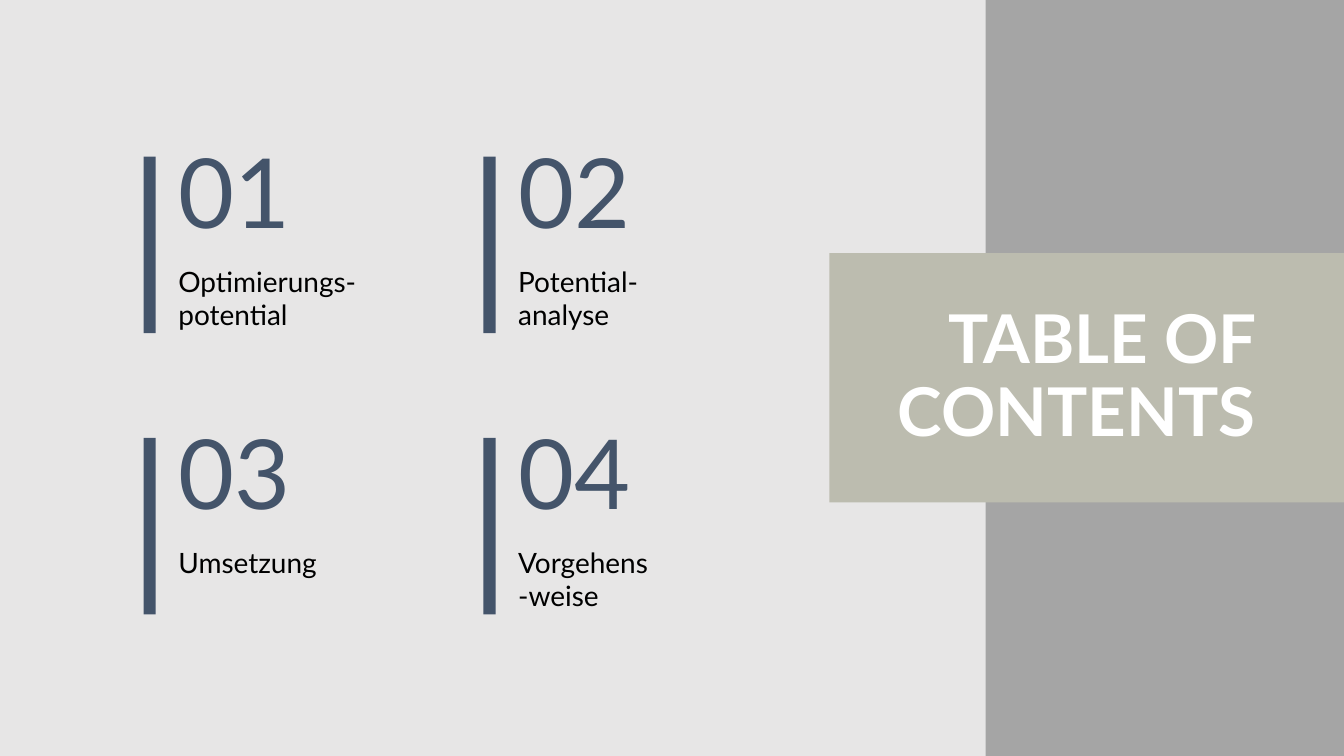
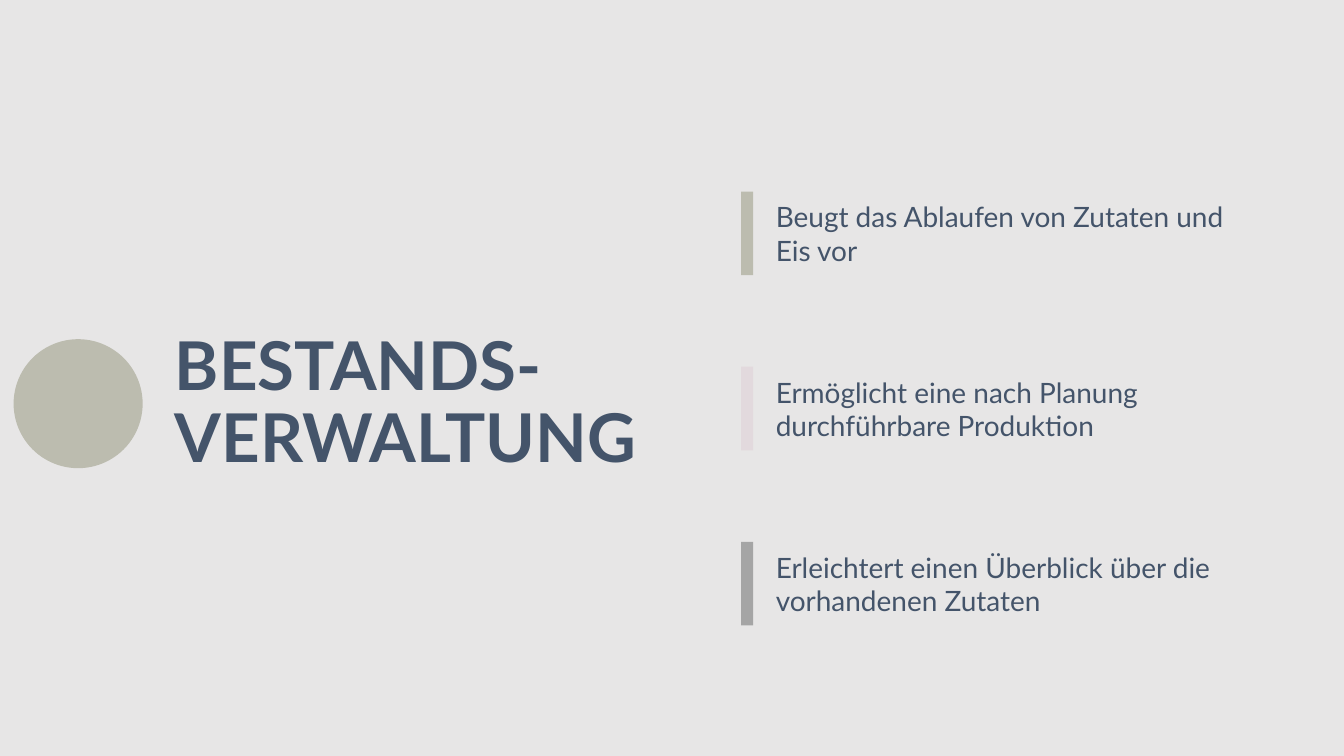
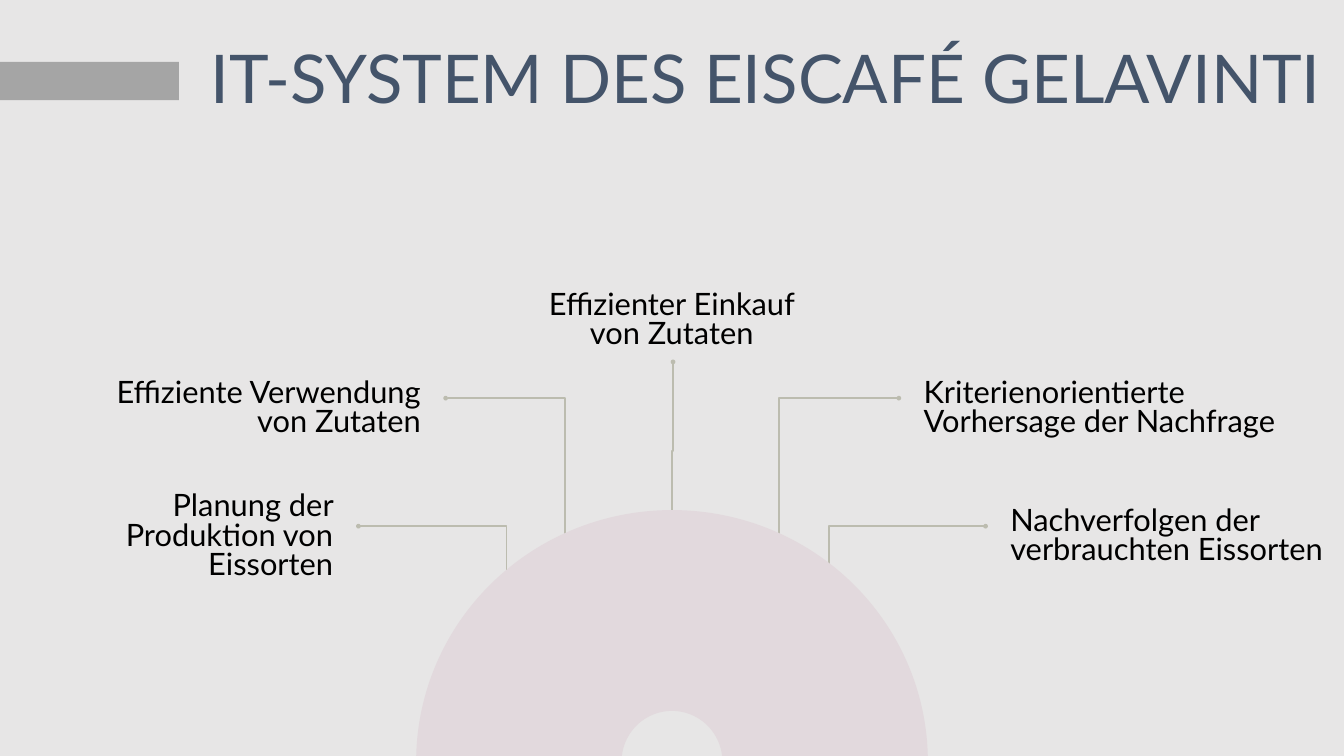
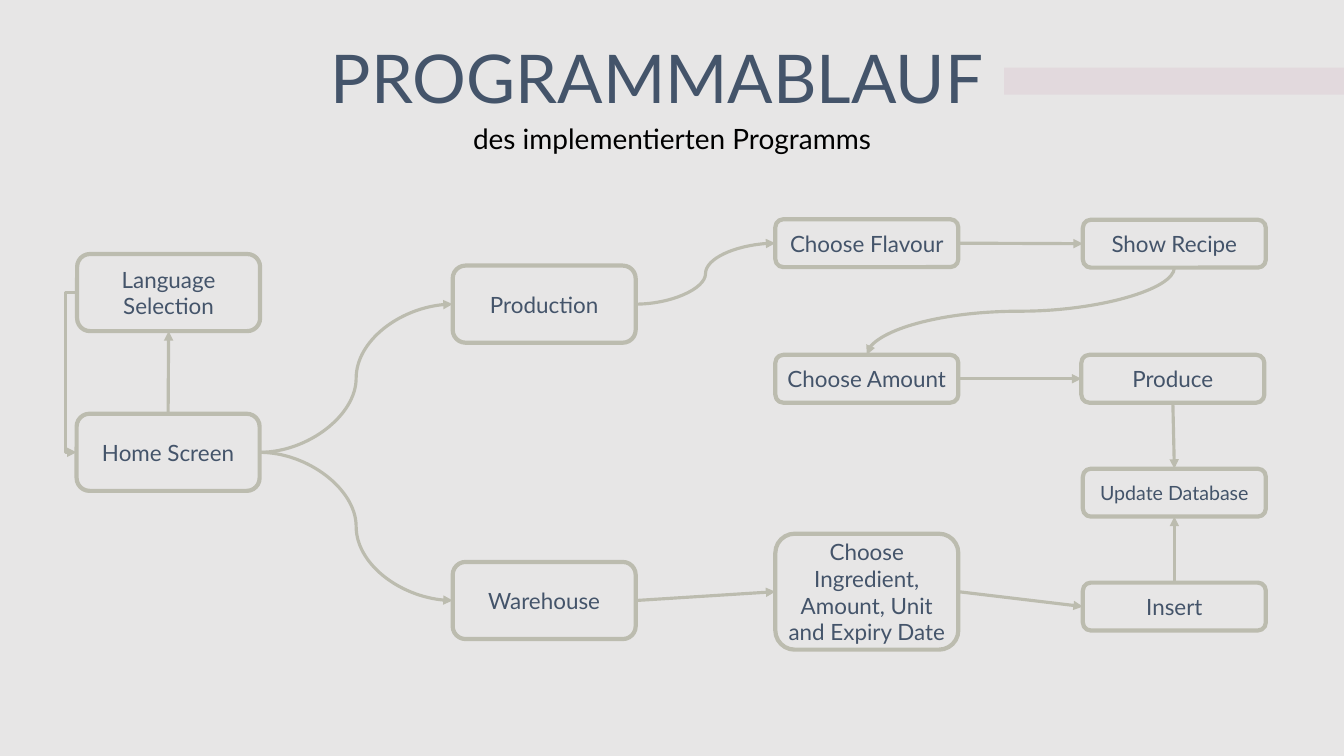
"""Builds four slides on the stock and production program of an ice cream café."""
from dataclasses import dataclass

from lxml.etree import SubElement
from pptx import Presentation
from pptx.dml.color import RGBColor as RGB
from pptx.enum.shapes import MSO_CONNECTOR as LINK, MSO_SHAPE as SHAPE
from pptx.enum.text import MSO_ANCHOR as ANCHOR, MSO_AUTO_SIZE as AUTO, PP_ALIGN as ALIGN
from pptx.oxml.ns import qn
from pptx.util import Inches, Pt


@dataclass(frozen=True)
class Theme:
    """Colours, font and type sizes shared by all slides."""
    font: str = "Lato"
    paper: str = "E7E6E6"
    navy: str = "44546A"
    sage: str = "BCBCAF"
    rose: str = "E2D9DD"
    grey: str = "A5A5A5"
    black: str = "000000"
    white: str = "FFFFFF"
    number: int = 138
    title: int = 96
    spoke: int = 44
    body: int = 40
    step: int = 32
    small_step: int = 28


THEME = Theme()
WIDTH, HEIGHT = 26.66, 15
BAR = 0.24
BAR_GAP = 0.59
TITLE_TOP, TITLE_HEIGHT = 0.84, 1.56

CHAPTERS = [
    [("01", ["Optimierungs-", "potential"], 5.9), ("02", ["Potential-", "analyse"], 3.64)],
    [("03", ["Umsetzung"], 3.09), ("04", ["Vorgehens-weise"], 2.9)],
]
BENEFITS = [
    ("Beugt das Ablaufen von Zutaten und Eis vor", THEME.sage),
    ("Ermöglicht eine nach Planung durchführbare Produktion", THEME.rose),
    ("Erleichtert einen Überblick über die vorhandenen Zutaten", THEME.grey),
]
# label, (left, top, width), alignment, spoke start, spoke end
FUNCTIONS = [
    ("Planung der Produktion von Eissorten", (0.06, 9.73, 6.82), ALIGN.RIGHT,
     (7.11, 10.44), (10.05, 11.6)),
    ("Effiziente Verwendung von Zutaten", (1.8, 7.19, 6.82), ALIGN.RIGHT,
     (8.84, 7.9), (11.21, 10.71)),
    ("Effizienter Einkauf von Zutaten", (10.29, 5.44, 6.07), ALIGN.CENTER,
     (13.35, 7.18), (13.33, 10.71)),
    ("Kriterienorientierte Vorhersage der Nachfrage", (18.05, 7.19, 7.74), ALIGN.LEFT,
     (17.83, 7.9), (15.45, 10.96)),
    ("Nachverfolgen der verbrauchten Eissorten", (19.77, 9.73, 6.89), ALIGN.LEFT,
     (19.55, 10.44), (16.44, 12.92)),
]
STEP_WIDTH, TALL, FLAT = 3.63, 1.53, 0.95
# step: left, top, height
STEPS = {
    "Home Screen": (1.52, 8.21, TALL),
    "Language Selection": (1.53, 5.04, TALL),
    "Production": (8.98, 5.27, TALL),
    "Warehouse": (8.98, 11.15, TALL),
    "Choose Flavour": (15.38, 4.35, FLAT),
    "Choose Amount": (15.38, 7.04, FLAT),
    "Choose Ingredient, Amount, Unit and Expiry Date": (15.38, 10.59, 2.3),
    "Show Recipe": (21.48, 4.36, FLAT),
    "Produce": (21.45, 7.04, FLAT),
    "Update Database": (21.48, 9.3, FLAT),
    "Insert": (21.48, 11.56, FLAT),
}
INGREDIENT = "Choose Ingredient, Amount, Unit and Expiry Date"
TOP, LEFT, BOTTOM, RIGHT = range(4)
# from, side, to, side, kind, bend
FLOWS = [
    ("Home Screen", TOP, "Language Selection", BOTTOM, LINK.STRAIGHT, None),
    ("Language Selection", LEFT, "Home Screen", LEFT, LINK.ELBOW, 24),
    ("Home Screen", RIGHT, "Production", LEFT, LINK.CURVE, 0.5),
    ("Home Screen", RIGHT, "Warehouse", LEFT, LINK.CURVE, 0.5),
    ("Production", RIGHT, "Choose Flavour", LEFT, LINK.CURVE, 0.5),
    ("Choose Flavour", RIGHT, "Show Recipe", LEFT, LINK.STRAIGHT, None),
    ("Show Recipe", BOTTOM, "Choose Amount", TOP, LINK.CURVE, 0.5),
    ("Choose Amount", RIGHT, "Produce", LEFT, LINK.STRAIGHT, None),
    ("Produce", BOTTOM, "Update Database", TOP, LINK.STRAIGHT, None),
    ("Warehouse", RIGHT, INGREDIENT, LEFT, LINK.STRAIGHT, None),
    (INGREDIENT, RIGHT, "Insert", LEFT, LINK.STRAIGHT, None),
    ("Insert", TOP, "Update Database", BOTTOM, LINK.STRAIGHT, None),
]


def inches(*lengths):
    return [Inches(length) for length in lengths]


def write(frame, lines, size, color, align=ALIGN.LEFT, anchor=ANCHOR.TOP,
          spacing=None, bold=False, fit=AUTO.SHAPE_TO_FIT_TEXT):
    frame.word_wrap = True
    frame.auto_size = fit
    frame.vertical_anchor = anchor
    for index, line in enumerate(lines):
        paragraph = frame.add_paragraph() if index else frame.paragraphs[0]
        paragraph.alignment = align
        paragraph.line_spacing = spacing
        run = paragraph.add_run()
        run.text = line
        run.font.name, run.font.size, run.font.bold = THEME.font, Pt(size), bold
        run.font.color.rgb = RGB.from_string(color)


def add_text(slide, box, lines, size, color, **style):
    frame = slide.shapes.add_textbox(*inches(*box)).text_frame
    write(frame, lines, size, color, **style)
    return frame


def add_block(shapes, box, color, kind=SHAPE.RECTANGLE):
    block = shapes.add_shape(kind, *inches(*box))
    block.shadow.inherit = False
    block.fill.solid()
    block.fill.fore_color.rgb = RGB.from_string(color)
    block.line.fill.background()


def set_title(slide, box, text, color=THEME.navy, align=ALIGN.CENTER,
              anchor=ANCHOR.BOTTOM, bold=False):
    title = slide.shapes.title
    title.left, title.top, title.width, title.height = inches(*box)
    write(title.text_frame, [text], THEME.title, color, align, anchor, 0.9, bold)
    slide.shapes.element.append(title.element)


def turn_down(link):
    """Makes a link that runs down to the left leave and arrive vertically."""
    drop, reach = link.height, link.width
    middle, center = link.left + reach // 2, link.top + drop // 2
    link.left, link.top = middle - drop // 2, center - reach // 2
    link.width, link.height = drop, reach
    link.element.flipH = False
    link.rotation = 90


def style_link(link, weight, end, tip, bend=None):
    link.line.width = Pt(weight)
    link.line.color.rgb = RGB.from_string(THEME.sage)
    properties = link.element.spPr
    SubElement(properties.find(qn("a:ln")), qn(end), type=tip)
    SubElement(properties, qn("a:effectLst"))
    if bend is not None:
        guides = properties.find(qn("a:prstGeom")).find(qn("a:avLst"))
        SubElement(guides, qn("a:gd"), name="adj1", fmla=f"val {round(bend * 100000)}")


def build_contents(slide):
    add_block(slide.shapes, (19.55, 0, WIDTH - 19.55, HEIGHT), THEME.grey)
    add_block(slide.shapes, (16.45, 5.02, WIDTH - 16.45, 4.95), THEME.sage)
    for row, chapters in enumerate(CHAPTERS):
        for column, (number, label, width) in enumerate(chapters):
            left, top = 2.85 + column * 6.74, 3.11 + row * 5.58
            add_block(slide.shapes, (left, top, BAR, 3.5), THEME.navy)
            add_text(slide, (left + BAR_GAP, top - 0.3, 2.9, 2.19), [number], THEME.number,
                     THEME.navy, anchor=ANCHOR.BOTTOM, spacing=0.9)
            add_text(slide, (left + BAR_GAP, top + 2.08, width, 1.45), label,
                     THEME.body, THEME.black)
    set_title(slide, (16.84, 6, 8.16, 3.01), "TABLE OF CONTENTS", THEME.white,
              ALIGN.RIGHT, ANCHOR.MIDDLE, bold=True)


def build_benefits(slide):
    for row, (benefit, color) in enumerate(BENEFITS):
        left, top = 14.7, 3.8 + row * 3.475
        add_block(slide.shapes, (left, top, BAR, 1.66), color)
        add_text(slide, (left + BAR_GAP, top + 0.1, 9.6, 1.45), [benefit], THEME.body,
                 THEME.navy, anchor=ANCHOR.BOTTOM)
    set_title(slide, (3.37, 6.51, 10.8, 3.01), "BESTANDS-VERWALTUNG",
              align=ALIGN.LEFT, bold=True)
    add_block(slide.shapes, (0.27, 6.73, 2.56, 2.56), THEME.sage, SHAPE.OVAL)


def build_functions(slide):
    add_block(slide.shapes, (0, 1.23, 3.55, 0.76), THEME.grey)
    set_title(slide, (3.55, TITLE_TOP, 23.29, TITLE_HEIGHT), "IT-SYSTEM DES EISCAFÉ GELAVINTI")
    for label, place, align, start, end in FUNCTIONS:
        central = align == ALIGN.CENTER
        spoke = slide.shapes.add_connector(LINK.ELBOW, *inches(*start, *end))
        if central:
            turn_down(spoke)
        style_link(spoke, 2.25, "a:headEnd", "oval", 0.5 if central else 1)
        frame = add_text(slide, (*place, 1.87), [label], THEME.spoke, THEME.black, align=align,
                         anchor=ANCHOR.MIDDLE, spacing=Pt(42), fit=AUTO.NONE)
        frame.margin_left = frame.margin_right = Inches(0.27)
        frame.margin_top = frame.margin_bottom = Inches(0.27)
        frame.paragraphs[0].space_after = Pt(42.7)
    rings = slide.shapes.add_group_shape()
    for ring in range(4):
        width, height = 10.15 - ring * 2.05, 9.98 - ring * 1.99
        add_block(rings.shapes, (WIDTH / 2 - width / 2, 15.11 - height / 2, width, height),
                  THEME.rose, SHAPE.BLOCK_ARC)


def build_flow(slide):
    add_block(slide.shapes, (19.92, 1.34, WIDTH - 19.92, 0.54), THEME.rose)
    set_title(slide, (4.08, TITLE_TOP, 17.91, TITLE_HEIGHT), "PROGRAMMABLAUF")
    add_text(slide, (4.08, 2.22, 18.5, 0.83), ["des implementierten Programms"], THEME.body,
             THEME.black, align=ALIGN.CENTER, spacing=1.2)
    boxes = {}
    for step, (left, top, height) in STEPS.items():
        box = slide.shapes.add_shape(SHAPE.ROUNDED_RECTANGLE,
                                     *inches(left, top, STEP_WIDTH, height))
        box.shadow.inherit = False
        box.fill.background()
        box.line.width = Pt(6)
        box.line.color.rgb = RGB.from_string(THEME.sage)
        size = THEME.small_step if step == "Update Database" else THEME.step
        write(box.text_frame, [step], size, THEME.navy, ALIGN.CENTER, ANCHOR.MIDDLE,
              fit=AUTO.NONE)
        boxes[step] = box
    for source, exit_side, target, entry_side, kind, bend in FLOWS:
        flow = slide.shapes.add_connector(kind, 0, 0, 0, 0)
        flow.begin_connect(boxes[source], exit_side)
        flow.end_connect(boxes[target], entry_side)
        if kind == LINK.CURVE and exit_side == BOTTOM:
            turn_down(flow)
        style_link(flow, 4.5, "a:tailEnd", "triangle", bend)


def main():
    deck = Presentation()
    deck.slide_width, deck.slide_height = inches(WIDTH, HEIGHT)
    paper = deck.slide_master.background.fill
    paper.solid()
    paper.fore_color.rgb = RGB.from_string(THEME.paper)
    title_only = deck.slide_layouts[5]
    for build in (build_contents, build_benefits, build_functions, build_flow):
        build(deck.slides.add_slide(title_only))
    deck.save("out.pptx")


if __name__ == "__main__":
    main()
